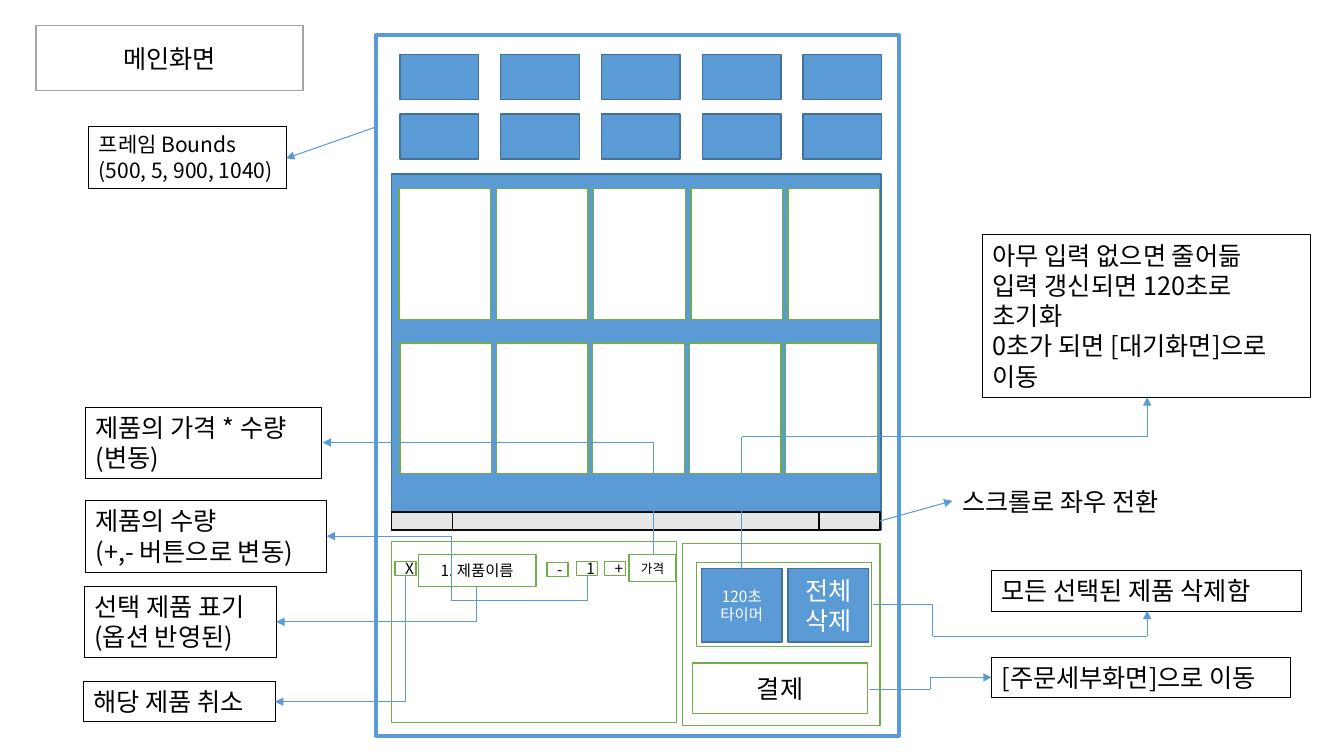
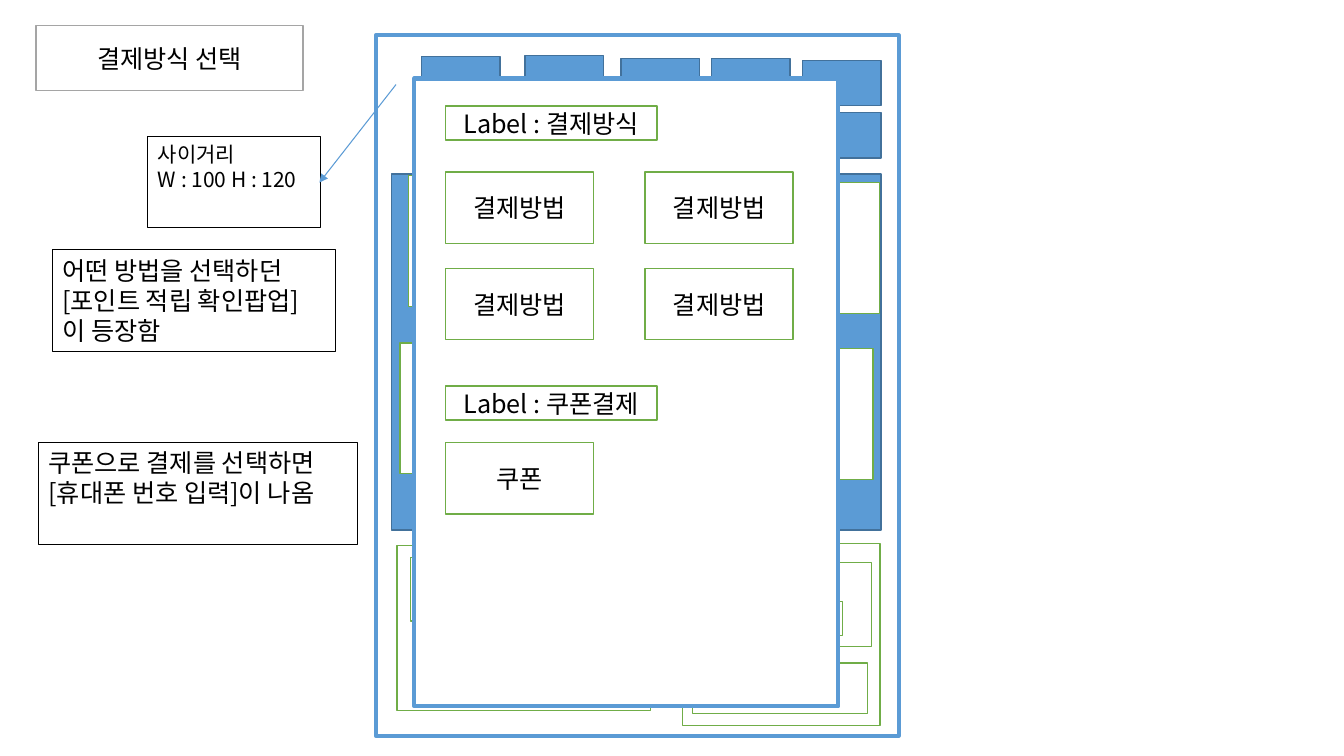
from itertools import pairwise

from lxml import etree
from pptx import Presentation
from pptx.dml.color import RGBColor
from pptx.enum.shapes import MSO_CONNECTOR, MSO_SHAPE
from pptx.enum.text import MSO_ANCHOR, PP_ALIGN
from pptx.oxml.ns import qn
from pptx.util import Cm, Pt

RECT = MSO_SHAPE.RECTANGLE
SCROLLBAR = MSO_SHAPE.FLOWCHART_PREDEFINED_PROCESS
STRAIGHT = MSO_CONNECTOR.STRAIGHT
CENTER, LEFT = PP_ALIGN.CENTER, PP_ALIGN.LEFT
MIDDLE, TOP = MSO_ANCHOR.MIDDLE, MSO_ANCHOR.TOP

FONT = "Noto Sans CJK KR"
WHITE, BLACK = "FFFFFF", "000000"
BLUE, NAVY, GREEN = "5B9BD5", "42719B", "70AD47"
GRAY, PALE, INK = "A5A5A5", "E7E6E6", "0C0C0C"

TILE_SIZE = (1.98, 1.14)
CARD_SIZE = (2.31, 3.3)
METHOD_SIZE = (3.73, 1.8)
LABEL_SIZE = (5.33, 0.86)
KEY_SIZE = (0.53, 0.36)


def rgb(value):
    return RGBColor.from_string(value)


class Deck:
    """Style of the deck and the slide being drawn."""

    def __init__(self):
        self.prs = Presentation()
        self.prs.slide_width, self.prs.slide_height = Cm(33.87), Cm(19.05)
        self.s = None

    def slide(self, title):
        self.s = self.prs.slides.add_slide(self.prs.slide_layouts[6])
        self.window(9.47, 0.89, 13.18, 17.65)
        self.box(0.91, 0.64, 6.73, 1.65, title, line=GRAY)

    def add_text(self, tf, text, size, color, align, anchor):
        tf.word_wrap = True
        tf.vertical_anchor = anchor
        for i, row in enumerate(text.split("\n")):
            p = tf.add_paragraph() if i else tf.paragraphs[0]
            p.alignment = align
            r = p.add_run()
            r.text = row
            r.font.name, r.font.size = FONT, Pt(size)
            r.font.color.rgb = rgb(color)
            ea = etree.SubElement(r.font._element, qn("a:ea"))
            ea.set("typeface", FONT)

    def box(self, x, y, w, h, text="", size=18, fill=WHITE, line=GREEN,
            width=1, color=BLACK, align=CENTER, anchor=MIDDLE, kind=RECT):
        sp = self.s.shapes.add_shape(kind, Cm(x), Cm(y), Cm(w), Cm(h))
        sp.shadow.inherit = False
        if fill:
            sp.fill.solid()
            sp.fill.fore_color.rgb = rgb(fill)
        else:
            sp.fill.background()
        sp.line.color.rgb = rgb(line)
        sp.line.width = Pt(width)
        if text:
            self.add_text(sp.text_frame, text, size, color, align, anchor)

    def window(self, x, y, w, h):
        self.box(x, y, w, h, line=BLUE, width=3)

    def panel(self, x, y, w, h, text="", size=18):
        self.box(x, y, w, h, text, size, fill=BLUE, line=NAVY, color=WHITE)

    def board(self):
        self.panel(9.86, 4.39, 12.34, 8.97)

    def tile(self, x, y):
        self.panel(x, y, *TILE_SIZE)

    def card(self, x, y):
        self.box(x, y, *CARD_SIZE)

    def pay_area(self, pay=""):
        self.box(17.2, 13.69, 4.98, 4.6)
        self.box(17.55, 14.17, 4.42, 2.13)
        self.box(17.45, 16.71, 4.42, 1.27, pay)

    def note(self, x, y, w, h, text, size=18):
        self.box(x, y, w, h, text, size, fill=None, line=BLACK, width=0.75,
                 align=LEFT, anchor=TOP)

    def caption(self, x, y, w, h, text):
        sp = self.s.shapes.add_textbox(Cm(x), Cm(y), Cm(w), Cm(h))
        self.add_text(sp.text_frame, text, 18, BLACK, LEFT, TOP)

    def arrow(self, *points):
        """Line through the points, with the arrowhead at the last one."""
        shapes = self.s.shapes
        if len(points) > 2:
            shapes = shapes.add_group_shape().shapes
        for (x1, y1), (x2, y2) in pairwise(points):
            c = shapes.add_connector(STRAIGHT, Cm(x1), Cm(y1), Cm(x2), Cm(y2))
            c.line.color.rgb = rgb(BLUE)
            c.line.width = Pt(0.75)
            etree.SubElement(c._element.spPr, qn("a:effectLst"))
        ln = c._element.spPr.find(qn("a:ln"))
        etree.SubElement(ln, qn("a:tailEnd")).set("type", "triangle")


d = Deck()

# Slide 1: main screen
d.slide("메인화면")
for y in (1.37, 2.87):
    for col in range(5):
        d.tile(10.08 + 2.54 * col, y)

# Product board with its scroll bar
d.board()
for x, y, step in ((10.06, 4.75, 2.45), (10.08, 8.64, 2.43)):
    for col in range(5):
        d.card(x + step * col, y)
d.box(9.86, 12.9, 12.32, 0.46, fill=PALE, line=INK, kind=SCROLLBAR)

# Payment area
d.pay_area("결제")
d.panel(17.68, 14.33, 2.03, 1.85, "120초 타이머", 11)
d.panel(19.86, 14.33, 2.03, 1.85, "전체\n삭제")

# Order list
d.box(9.86, 13.64, 7.19, 4.57)
d.box(10.54, 13.97, 2.97, 0.81, "1. 제품이름", 11)
for x, y, key in ((13.79, 14.17, "-"), (15.24, 14.15, "+"),
                  (14.53, 14.15, "1"), (9.96, 14.15, "X")):
    d.box(x, y, *KEY_SIZE, key, 11)
d.box(15.85, 13.97, 1.19, 0.69, "가격", 9)

# Notes
d.caption(24, 12.12, 6.1, 1.02, "스크롤로 좌우 전환")
d.note(2.24, 3.2, 4.98, 1.55, "프레임 Bounds\n(500, 5, 900, 1040)", 15)
for x, y, w, h, text in (
    (2.16, 10.26, 5.94, 1.8, "제품의 가격 * 수량\n(변동)"),
    (2.16, 12.62, 6.07, 1.8, "제품의 수량\n(+,- 버튼으로 변동)"),
    (2.13, 14.78, 4.83, 1.8, "선택 제품 표기\n(옵션 반영된)"),
    (2.11, 17.17, 4.83, 1.02, "해당 제품 취소"),
    (24.77, 5.92, 8.26, 4.11, "아무 입력 없으면 줄어듦\n"
     "입력 갱신되면 120초로 초기화\n0초가 되면 [대기화면]으로 이동"),
    (24.99, 14.38, 7.8, 1.02, "모든 선택된 제품 삭제함"),
    (24.99, 16.56, 7.54, 1.02, "[주문세부화면]으로 이동"),
):
    d.note(x, y, w, h, text)

# Arrows from the screen parts to the notes
d.arrow((9.47, 3.2), (7.21, 3.99))
d.arrow((22.17, 13.13), (24, 12.62))
d.arrow((16.46, 13.97), (16.46, 11.15), (8.13, 11.15))
d.arrow((14.81, 14.5), (14.81, 15.14), (11.38, 15.14), (11.38, 13.51),
        (8.23, 13.51))
d.arrow((12.01, 14.78), (12.01, 15.67), (6.96, 15.67))
d.arrow((10.21, 14.5), (10.21, 17.68), (6.93, 17.68))
d.arrow((18.69, 14.33), (18.69, 11), (28.91, 11), (28.91, 10.01))
d.arrow((22, 15.24), (23.5, 15.24), (23.5, 16.03), (28.91, 16.03),
        (28.91, 15.39))
d.arrow((21.89, 17.37), (23.44, 17.37), (23.44, 17.07), (24.99, 17.07))

# Slide 2: payment popup
d.slide("결제방식 선택")

# Main screen behind the popup
for x, y in ((10.62, 1.42), (13.23, 1.4), (15.65, 1.47), (17.93, 1.47),
             (20.22, 1.52), (20.22, 2.84)):
    d.tile(x, y)
d.board()
for x, y in ((10.29, 4.42), (19.86, 4.6), (10.08, 8.64), (19.69, 8.79)):
    d.card(x, y)
d.box(10.01, 13.74, 6.38, 4.17)
d.pay_area()
d.box(10.34, 14.05, 2.57, 1.6)
d.box(17.96, 15.16, 3.28, 0.86)

# Popup
d.window(10.44, 1.98, 10.69, 15.82)
d.box(11.23, 2.67, *LABEL_SIZE, "Label : 결제방식")
for y in (4.34, 6.76):
    for x in (11.23, 16.26):
        d.box(x, y, *METHOD_SIZE, "결제방법")
d.box(11.23, 9.73, *LABEL_SIZE, "Label : 쿠폰결제")
d.box(11.23, 11.15, *METHOD_SIZE, "쿠폰")

# Notes
d.note(3.73, 3.43, 4.34, 2.31, "사이거리\nW : 100 H : 120", 15)
d.note(1.32, 6.3, 7.14, 2.57,
       "어떤 방법을 선택하던\n[포인트 적립 확인팝업]\n이 등장함")
d.note(0.97, 11.15, 8.03, 2.57,
       "쿠폰으로 결제를 선택하면\n[휴대폰 번호 입력]이 나옴")
d.arrow((9.98, 2.13), (8.05, 4.6))

d.prs.save("out.pptx")
